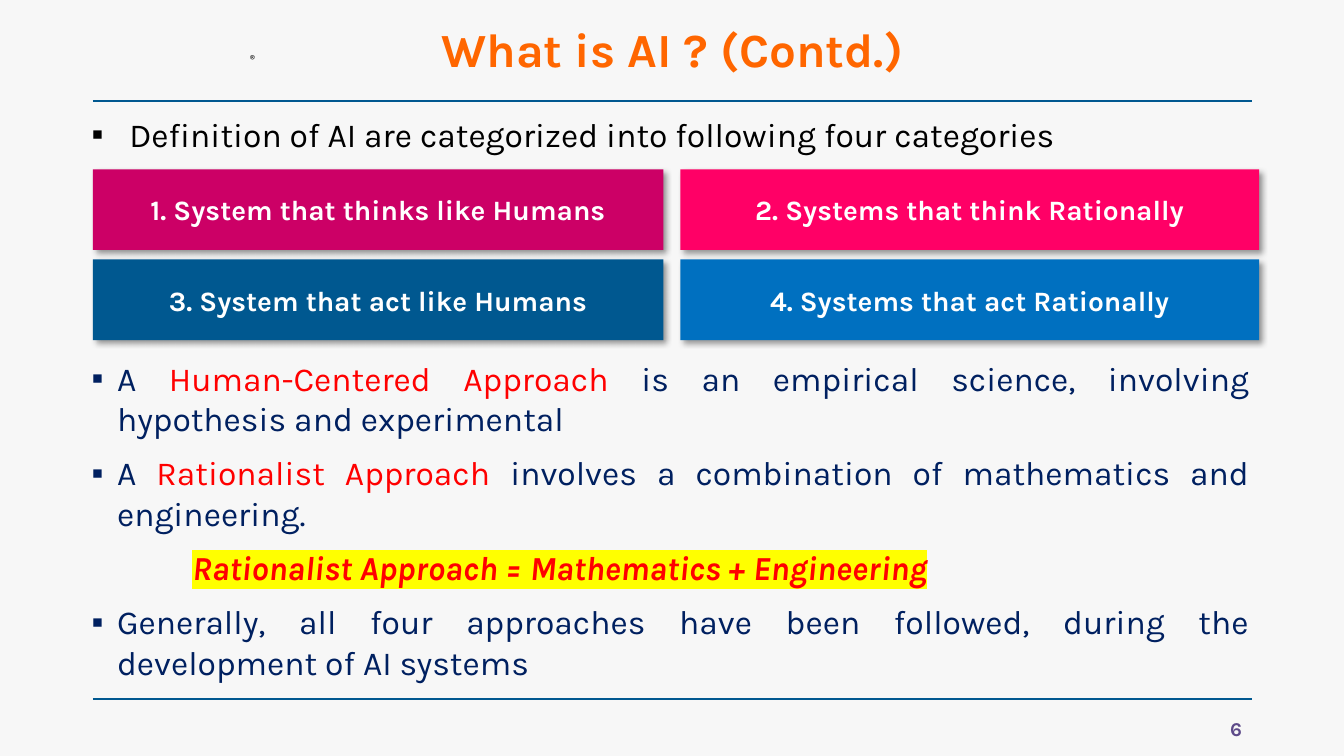
from lxml.etree import SubElement
from pptx import Presentation
from pptx.dml.color import RGBColor
from pptx.enum.shapes import MSO_CONNECTOR, MSO_SHAPE
from pptx.enum.text import MSO_ANCHOR, PP_ALIGN
from pptx.oxml.ns import qn
from pptx.util import Cm, Pt

LEFT, RIGHT = 2.34, 31.55
TEXT_LEFT = 2.06
ORANGE, BLACK, WHITE = "FF6600", "000000", "FFFFFF"
NAVY, RED, YELLOW = "002060", "FF0000", "FFFF00"
BLUE, PURPLE = "005890", "5D4A89"

HEADING = {"size": Pt(34), "bold": True}
BOX_LABEL = {"size": Pt(20), "bold": True}
BODY = {"size": Pt(24)}
FORMULA = {"size": Pt(24), "bold": True, "italic": True}
PAGE_NUMBER = {"size": Pt(14), "bold": True}
MARK = {"size": Pt(18), "name": "Calibri"}

CATEGORIES = [
    [("1. System that thinks like Humans", "CC0066"), ("2. Systems that think Rationally", "FF0066")],
    [("3. System that act like Humans", BLUE), ("4. Systems that act Rationally", "0070C0")],
]
COLUMNS = [(LEFT, 14.38), (17.15, 14.58)]
ROW_TOP, ROW_HEIGHT, ROW_STEP = 4.27, 2.03, 2.27


def paint(color_format, color):
    color_format.rgb = RGBColor.from_string(color)


def set_values(target, values):
    for name, value in values.items():
        setattr(target, name, value)


def add_run(paragraph, text, color, font_values):
    run = paragraph.add_run()
    run.text = text
    paint(run.font.color, color)
    set_values(run.font, {"name": "Karla", **font_values})
    return run


def highlight(run, color):
    properties = run.font._element
    mark = SubElement(properties, qn("a:highlight"))
    SubElement(mark, qn("a:srgbClr"), val=color)
    properties.find(qn("a:solidFill")).addnext(mark)


def indent(paragraph, left, bullet=None):
    """Indent a paragraph; a bullet hangs in the indent."""
    properties = paragraph._p.get_or_add_pPr()
    properties.set("marL", str(Cm(left)))
    properties.set("indent", str(-Cm(left) if bullet else 0))
    if bullet:
        SubElement(properties, qn("a:buFont"), typeface="Arial")
        SubElement(properties, qn("a:buChar"), char=bullet)


def add_text_box(slide, left, top, width, height, anchor=MSO_ANCHOR.TOP, wrap=True):
    frame = slide.shapes.add_textbox(Cm(left), Cm(top), Cm(width), Cm(height)).text_frame
    set_values(frame, {"word_wrap": wrap, "vertical_anchor": anchor})
    return frame


def add_rule(slide, height):
    line = slide.shapes.add_connector(
        MSO_CONNECTOR.STRAIGHT, Cm(LEFT), Cm(height), Cm(RIGHT), Cm(height))
    paint(line.line.color, BLUE)
    line.line.width = Pt(1.5)
    SubElement(line._element.spPr, qn("a:effectLst"))


def add_shadow(shape):
    effects = SubElement(shape._element.spPr, qn("a:effectLst"))
    shadow = SubElement(effects, qn("a:outerShdw"), blurRad=str(Pt(4)), dist=str(Pt(3)),
                        dir="2700000", algn="tl", rotWithShape="0")
    color = SubElement(shadow, qn("a:srgbClr"), val=BLACK)
    SubElement(color, qn("a:alpha"), val="40000")


def add_category(slide, left, top, width, text, color):
    shape = slide.shapes.add_shape(
        MSO_SHAPE.RECTANGLE, Cm(left), Cm(top), Cm(width), Cm(ROW_HEIGHT))
    shape.fill.solid()
    paint(shape.fill.fore_color, color)
    shape.line.fill.background()
    add_shadow(shape)
    shape.text_frame.vertical_anchor = MSO_ANCHOR.MIDDLE
    paragraph = shape.text_frame.paragraphs[0]
    paragraph.alignment = PP_ALIGN.CENTER
    add_run(paragraph, text, WHITE, BOX_LABEL)


def add_categories(slide):
    for row, categories in enumerate(CATEGORIES):
        for (left, width), (text, color) in zip(COLUMNS, categories):
            add_category(slide, left, ROW_TOP + row * ROW_STEP, width, text, color)


def add_header_and_footer(slide):
    mark = add_text_box(slide, 6.05, 1.09, 0.76, 1.02, wrap=False).paragraphs[0]
    run = add_run(mark, "®", BLACK, MARK)
    run.font._element.set("baseline", "30000")

    title = add_text_box(slide, LEFT, 0.28, 29.21, 2.08, MSO_ANCHOR.MIDDLE).paragraphs[0]
    set_values(title, {"alignment": PP_ALIGN.CENTER, "line_spacing": 0.9})
    add_run(title, "What is AI ? (Contd.)", ORANGE, HEADING)

    number = add_text_box(slide, 29.11, 17.81, 2.44, 1.09, MSO_ANCHOR.MIDDLE).paragraphs[0]
    number.alignment = PP_ALIGN.RIGHT
    add_run(number, "6", PURPLE, PAGE_NUMBER)


def add_introduction(slide):
    paragraph = add_text_box(slide, TEXT_LEFT, 2.74, 29.21, 1.27).paragraphs[0]
    indent(paragraph, 0.95, "▪")
    add_run(paragraph, "Definition of AI are categorized into following four categories", BLACK, BODY)


def add_approaches(slide):
    frame = add_text_box(slide, TEXT_LEFT, 8.89, 29.67, 8.69)
    points = [
        [("A ", NAVY), ("Human-Centered Approach ", RED),
         ("is an empirical science, involving hypothesis and experimental", NAVY)],
        [("A ", NAVY), ("Rationalist Approach ", RED),
         ("involves a combination of mathematics and engineering.", NAVY)],
        None,
        [("Generally, all four approaches have been followed, "
          "during the development of AI systems", NAVY)],
    ]
    for index, point in enumerate(points):
        paragraph = frame.add_paragraph() if index else frame.paragraphs[0]
        set_values(paragraph, {"alignment": PP_ALIGN.JUSTIFY, "space_before": Pt(10)})
        if point:
            indent(paragraph, 0.64, "▪")
            for text, color in point:
                add_run(paragraph, text, color, BODY)
        else:
            indent(paragraph, 2.54)
            formula = "Rationalist Approach = Mathematics + Engineering"
            highlight(add_run(paragraph, formula, RED, FORMULA), YELLOW)


def main():
    presentation = Presentation()
    set_values(presentation, {"slide_width": Cm(33.87), "slide_height": Cm(19.05)})
    slide = presentation.slides.add_slide(presentation.slide_layouts[6])
    slide.background.fill.solid()
    paint(slide.background.fill.fore_color, "F7F7F7")

    for height in (2.54, 17.62):
        add_rule(slide, height)
    add_header_and_footer(slide)
    add_categories(slide)
    add_introduction(slide)
    add_approaches(slide)
    presentation.save("out.pptx")


if __name__ == "__main__":
    main()
